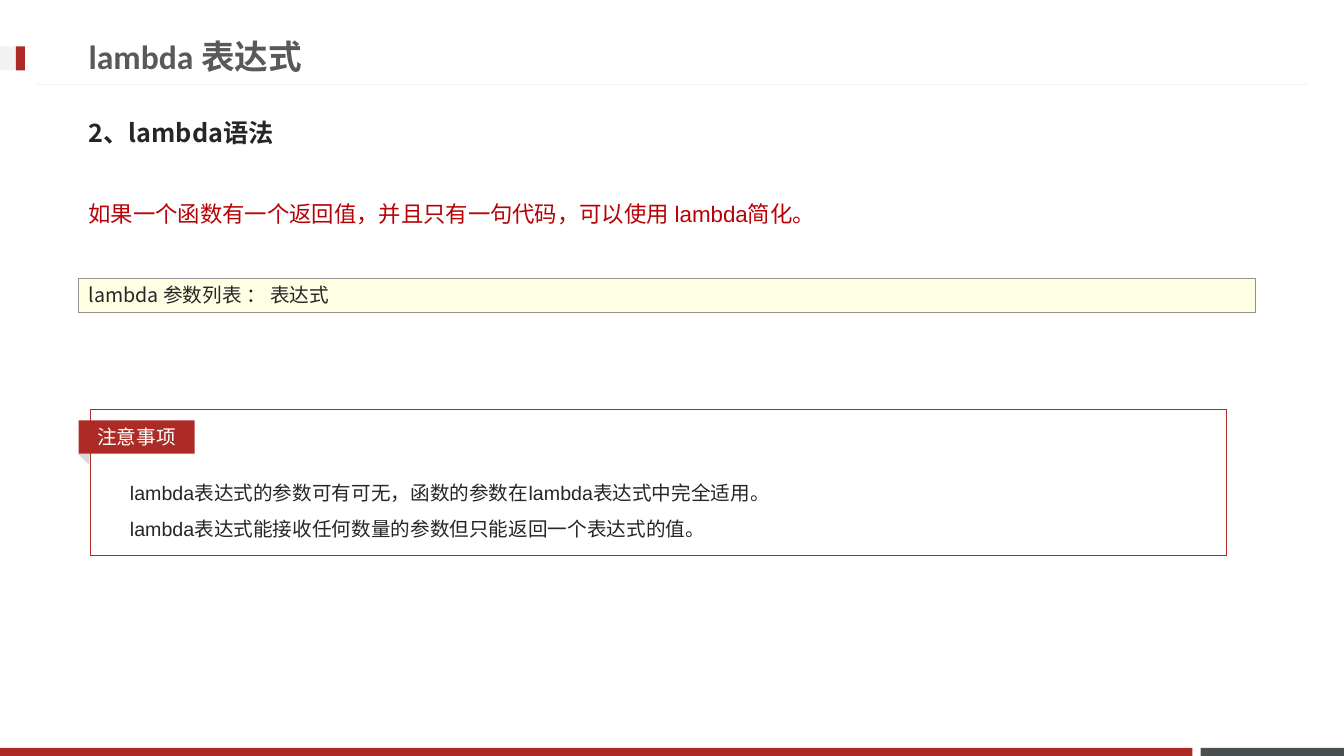
from dataclasses import dataclass

from lxml import etree
from pptx import Presentation
from pptx.dml.color import RGBColor
from pptx.enum.shapes import MSO_CONNECTOR, MSO_SHAPE
from pptx.enum.text import MSO_ANCHOR, MSO_AUTO_SIZE, PP_ALIGN
from pptx.oxml.ns import qn
from pptx.shapes.autoshape import Shape
from pptx.shapes.connector import Connector
from pptx.slide import Slide
from pptx.util import Inches, Pt

RECT, TRIANGLE = MSO_SHAPE.RECTANGLE, MSO_SHAPE.ISOSCELES_TRIANGLE
STRAIGHT = MSO_CONNECTOR.STRAIGHT
LEFT, CENTER = PP_ALIGN.LEFT, PP_ALIGN.CENTER
TOP, MIDDLE = MSO_ANCHOR.TOP, MSO_ANCHOR.MIDDLE
NO_FIT = MSO_AUTO_SIZE.NONE

WIDTH, HEIGHT = Inches(13.33), Inches(7.5)
RED, PALE, INK = "AD2B26", "F2F2F2", "262626"
SANS, HAN = "Arial", "Noto Sans CJK JP"
EDGE = 5.85  # left edge shared by most elements


@dataclass(frozen=True)
class Box:
    """Place and size as percentages of the slide's width and height."""
    x: float
    y: float
    w: float
    h: float

    def emu(self) -> tuple[int, int, int, int]:
        return across(self.x), down(self.y), across(self.w), down(self.h)


@dataclass(frozen=True)
class Panel:
    box: Box
    fill: str | None = None
    line: str | None = None
    width: float = 0.75
    kind: MSO_SHAPE = RECT
    turn: float = 0


FOOT = [Panel(Box(89.33, 98.93, 10.67, 1.07), "49504F"),
        Panel(Box(0, 98.93, 88.73, 1.07), RED)]
MARK = [Panel(Box(0, 6.13, 1.85, 3.2), PALE),
        Panel(Box(1.18, 6.13, 0.67, 3.2), RED)]
CODE = Panel(Box(EDGE, 36.8, 87.53, 4.55), "FFFFE4", "919191", 0.25)
FOLD = Panel(Box(EDGE, 59.73, 1.2, 1.2), "D9D9D9", kind=TRIANGLE, turn=44.2)
FRAME = Panel(Box(6.75, 54.13, 84.53, 19.33), line=RED)
TAG = Panel(Box(EDGE, 55.6, 8.63, 4.4), RED)


def across(share: float) -> int:
    return round(WIDTH * share / 100)


def down(share: float) -> int:
    return round(HEIGHT * share / 100)


def color(code: str) -> RGBColor:
    return RGBColor.from_string(code)


def write(shape: Shape, *lines: str, size: float = 14, font: str = SANS,
          ink: str = INK, bold: bool = False, align: PP_ALIGN = LEFT,
          anchor: MSO_ANCHOR = TOP, lead: float = 1, before: float = 0) -> None:
    """Fill a shape with one paragraph for each line."""
    frame = shape.text_frame
    frame.word_wrap = True
    frame.auto_size = NO_FIT
    frame.vertical_anchor = anchor
    frame.text = "\n".join(lines)
    for para in frame.paragraphs:
        para.alignment = align
        para.line_spacing = lead
        para.space_before = Pt(before)
        for run in para.runs:
            face = run.font
            face.name, face.size, face.bold = font, Pt(size), bold
            face.color.rgb = color(ink)
            east = etree.SubElement(run._r.get_or_add_rPr(), qn("a:ea"))
            east.set("typeface", HAN)


def panel(slide: Slide, part: Panel) -> Shape:
    shape = slide.shapes.add_shape(part.kind, *part.box.emu())
    shape.shadow.inherit = False
    shape.rotation = part.turn
    if part.fill:
        shape.fill.solid()
        shape.fill.fore_color.rgb = color(part.fill)
    else:
        shape.fill.background()
    if part.line:
        shape.line.color.rgb = color(part.line)
        shape.line.width = Pt(part.width)
    else:
        shape.line.fill.background()
    return shape


def label(slide: Slide, box: Box) -> Shape:
    return slide.shapes.add_textbox(*box.emu())


def rule(slide: Slide, start: float, end: float, y: float) -> Connector:
    line = slide.shapes.add_connector(
        STRAIGHT, across(start), down(y), across(end), down(y))
    line.line.color.rgb = color(PALE)
    line.line.width = Pt(0.75)
    etree.SubElement(line._element.spPr, qn("a:effectLst"))
    return line


def head(slide: Slide, box: Box, text: str) -> None:
    title = slide.shapes.title
    title.left, title.top, title.width, title.height = box.emu()
    write(title, text, size=24, font="Calibri", ink="595959", bold=True,
          anchor=MIDDLE)


def main() -> None:
    deck = Presentation()
    deck.slide_width, deck.slide_height = WIDTH, HEIGHT
    slide = deck.slides.add_slide(deck.slide_layouts[5])

    for part in FOOT + MARK:
        panel(slide, part)
    rule(slide, 97.35, 2.65, 11.2)
    head(slide, Box(EDGE, 3.6, 71.93, 7.6), "lambda 表达式")

    write(label(slide, Box(EDGE, 24, 88.2, 61.47)),
          "如果一个函数有一个返回值，并且只有一句代码，可以使用 lambda简化。",
          size=16, ink="B60206", lead=1.5, before=3.2)
    write(label(slide, Box(EDGE, 13.73, 88.2, 7.6)), "2、lambda语法",
          size=18, font=HAN, bold=True, anchor=MIDDLE, before=3.6)
    write(panel(slide, CODE), "lambda 参数列表 ： 表达式", font=HAN)

    panel(slide, FOLD)
    write(label(slide, Box(8.93, 61.47, 80.2, 10.27)),
          "lambda表达式的参数可有可无，函数的参数在lambda表达式中完全适用。",
          "lambda表达式能接收任何数量的参数但只能返回一个表达式的值。",
          lead=1.5)
    panel(slide, FRAME)
    write(panel(slide, TAG), "注意事项", ink="FFFFFF", align=CENTER,
          anchor=MIDDLE)

    deck.save("out.pptx")


if __name__ == "__main__":
    main()
